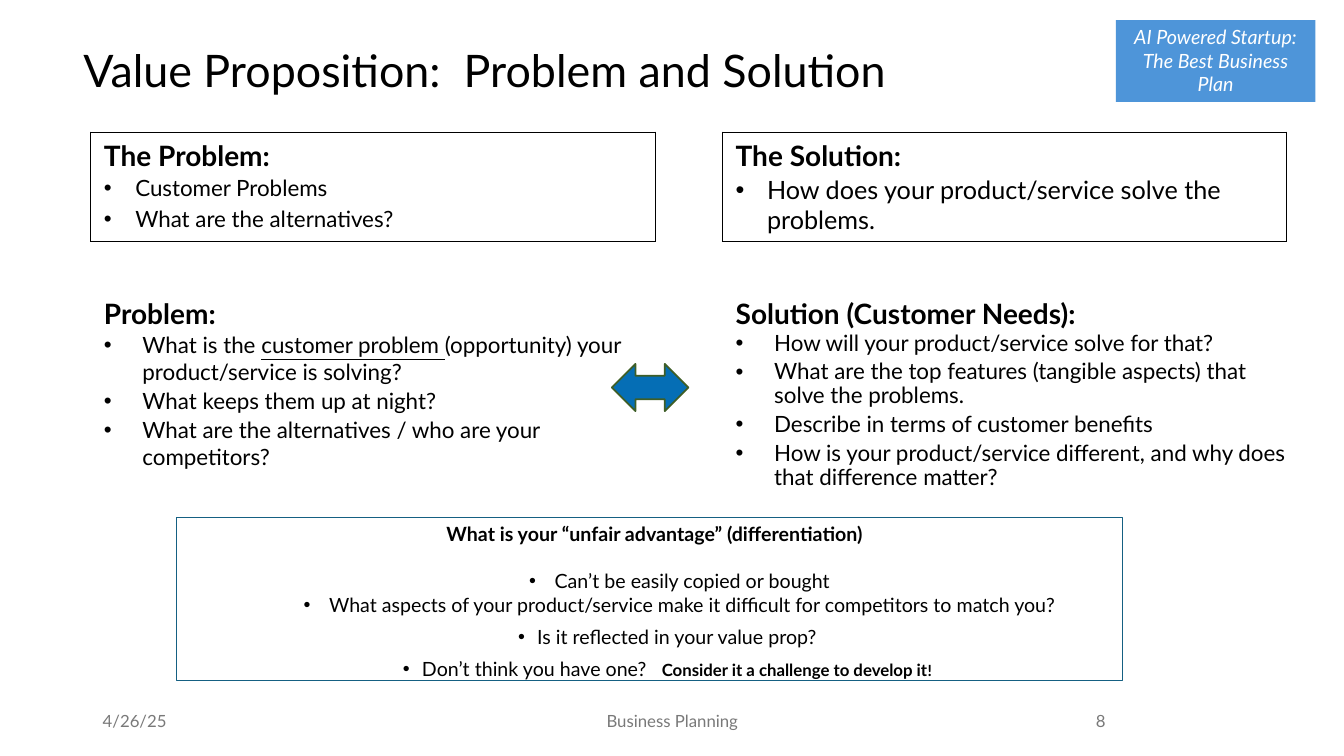
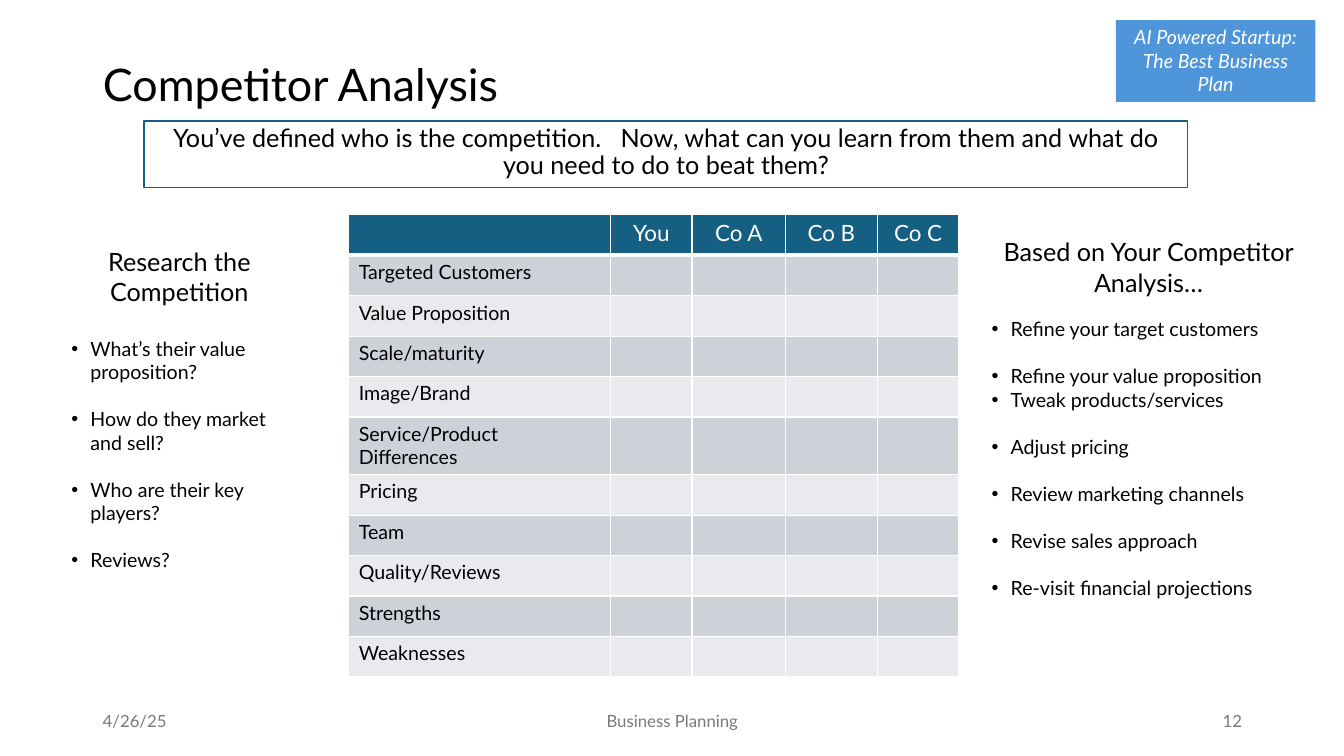
from pptx import Presentation
from pptx.dml.color import RGBColor
from pptx.enum.shapes import MSO_SHAPE
from pptx.enum.text import MSO_ANCHOR, MSO_AUTO_SIZE, PP_ALIGN
from pptx.oxml import parse_xml
from pptx.oxml.ns import nsdecls
from pptx.util import Cm, Pt

FONT = "Lato"
COLORS = {
    "black": "000000", "white": "FFFFFF", "gray": "797979",
    "badge": "4E95D9", "teal": "156082", "arrow": "056EB5",
    "arrow_line": "3E5E27", "band_dark": "CCD2D8", "band_light": "E8EAED",
}
PLAIN_TABLE = "{2D5ABB26-0587-4C30-8999-92F81FD0307C}"
LEFT, CENTER, RIGHT = PP_ALIGN.LEFT, PP_ALIGN.CENTER, PP_ALIGN.RIGHT


def rgb(name):
    return RGBColor.from_string(COLORS[name])


def write(tf, text, size=14, color="black", bold=False, italic=False,
          align=LEFT, before=0, spacing=1.0, indent=None, hang=None):
    p = tf.paragraphs[0]
    if p.runs:
        p = tf.add_paragraph()
    p.alignment = align
    p.space_before = Pt(before)
    p.line_spacing = spacing
    if indent:
        pPr = p._p.get_or_add_pPr()
        pPr.set("marL", str(Cm(indent)))
        pPr.set("indent", str(-Cm(hang or indent)))
        for xml in ('<a:buFont {} typeface="Arial"/>', '<a:buChar {} char="•"/>'):
            pPr.append(parse_xml(xml.format(nsdecls("a"))))
    parts = [(text, {})] if isinstance(text, str) else text
    for part, extra in parts:
        r = p.add_run()
        r.text = part
        r.font.name = FONT
        r.font.size = Pt(extra.get("size", size))
        r.font.bold = extra.get("bold", bold)
        r.font.italic = italic
        r.font.underline = extra.get("underline", False)
        r.font.color.rgb = rgb(color)


class Deck:
    def __init__(self):
        self.prs = Presentation()
        self.prs.slide_width, self.prs.slide_height = Cm(33.87), Cm(19.05)
        self.s = None

    def slide(self, title, box, number, number_align, anchor, spacing):
        self.s = self.prs.slides.add_slide(self.prs.slide_layouts[5])
        sp = self.s.shapes.title
        sp.left, sp.top, sp.width, sp.height = map(Cm, box)
        tf = sp.text_frame
        tf.auto_size = MSO_AUTO_SIZE.NONE
        tf.vertical_anchor = anchor
        write(tf, title, size=32, spacing=spacing)

        tf = self.shape((28.12, 0.51, 5.03, 2.06), fill="badge")
        for line in ("AI Powered Startup:", "The Best Business Plan"):
            write(tf, line, color="white", italic=True, align=CENTER)

        footers = (("4/26/25", 2.34, 7.62, LEFT),
                   ("Business Planning", 11.23, 11.43, CENTER),
                   (number, 23.93, 7.62, number_align))
        for text, left, width, align in footers:
            tf = self.text((left, 17.65, width, 1.02), MSO_ANCHOR.MIDDLE)
            write(tf, text, size=12, color="gray", align=align)

    def text(self, box, anchor=MSO_ANCHOR.TOP):
        tf = self.s.shapes.add_textbox(*map(Cm, box)).text_frame
        tf.word_wrap = True
        tf.vertical_anchor = anchor
        return tf

    def shape(self, box, kind=MSO_SHAPE.RECTANGLE, fill=None, line=None, width=0.75):
        sp = self.s.shapes.add_shape(kind, *map(Cm, box))
        sp.shadow.inherit = False
        if fill:
            sp.fill.solid()
            sp.fill.fore_color.rgb = rgb(fill)
        else:
            sp.fill.background()
        if line:
            sp.line.color.rgb = rgb(line)
            sp.line.width = Pt(width)
        else:
            sp.line.fill.background()
        tf = sp.text_frame
        tf.word_wrap = True
        tf.vertical_anchor = MSO_ANCHOR.TOP
        return tf

    def table(self, left, top, widths, heights):
        frame = self.s.shapes.add_table(
            len(heights), len(widths), Cm(left), Cm(top),
            Cm(sum(widths)), Cm(sum(heights)))
        table = frame.table
        table.first_row = table.horz_banding = False
        table._tbl.tblPr[0].text = PLAIN_TABLE
        for col, width in zip(table.columns, widths):
            col.width = Cm(width)
        for row, height in zip(table.rows, heights):
            row.height = Cm(height)
        return table

    def style_cell(self, cell, fill, border, bottom=1):
        cell.fill.solid()
        cell.fill.fore_color.rgb = rgb(fill)
        tcPr = cell._tc.get_or_add_tcPr()
        for i, side in enumerate("LRTB"):
            width = Pt(bottom if side == "B" else 1)
            tcPr.insert(i, parse_xml(
                f'<a:ln{side} {nsdecls("a")} w="{width}"><a:solidFill>'
                f'<a:srgbClr val="{COLORS[border]}"/></a:solidFill></a:ln{side}>'))

    def side_list(self, box, heading, gap, items):
        tf = self.text(box)
        write(tf, heading, size=18, align=CENTER)
        for i, item in enumerate(items):
            tight = item == "Tweak products/services"
            before = gap if i == 0 else 0 if tight else 16.8
            write(tf, item, before=before, indent=0.48)


def value_proposition(deck):
    deck.slide("Value Proposition:  Problem and Solution", (1.85, 0.89, 29.21, 1.68),
               "8", CENTER, MSO_ANCHOR.BOTTOM, 0.85)
    table = deck.table(2.29, 3.33, (14.22, 1.7, 14.22), (2.74, 1.22, 5.92))
    question = [("What is the ", {}), ("customer problem ", {"underline": True}),
                ("(opportunity) your product/service is solving?", {})]
    cells = (
        (0, 0, "The Problem:", 16, 0.79, 1, 3.4,
         ["Customer Problems", "What are the alternatives?"]),
        (0, 2, "The Solution:", 18, 0.79, 1, 3.4,
         ["How does your product/service solve the problems."]),
        (2, 0, "Problem:", 16, 0.97, 1, 1.6,
         [question, "What keeps them up at night?",
          "What are the alternatives / who are your competitors?"]),
        (2, 2, "Solution (Customer Needs):", 16, 0.97, 0.9, 3.4,
         ["How will your product/service solve for that?",
          "What are the top features (tangible aspects) that solve the problems.",
          "Describe in terms of customer benefits",
          "How is your product/service different, and why does that difference matter?"]),
    )
    for row, col, heading, size, indent, spacing, gap, items in cells:
        cell = table.cell(row, col)
        cell.margin_left = cell.margin_right = Cm(0.33)
        cell.margin_top = cell.margin_bottom = Cm(0.17)
        if row == 0:
            deck.style_cell(cell, "white", "black")
        elif col == 2:
            cell.margin_right = 0
        write(cell.text_frame, heading, size=20, bold=True)
        for i, item in enumerate(items):
            write(cell.text_frame, item, size=size, before=gap if i else 1.1,
                  spacing=spacing, indent=indent)

    deck.shape((15.42, 9.17, 1.93, 1.19), MSO_SHAPE.LEFT_RIGHT_ARROW,
               "arrow", "arrow_line", 1.25)

    tf = deck.shape((4.45, 13.03, 23.85, 4.11), line="teal")
    tf.margin_right = 0
    write(tf, "What is your “unfair advantage” (differentiation)", bold=True, align=CENTER)
    challenge = [("Don’t think you have one?   ", {}),
                 ("Consider it a challenge to develop it", {"size": 12, "bold": True}),
                 ("!", {"size": 11, "bold": True})]
    advantages = (
        ("Can’t be easily copied or bought", 16.8, 1.9, 0.64),
        ("What aspects of your product/service make it difficult "
         "for competitors to match you?", 0, 1.9, 0.64),
        ("Is it reflected in your value prop?", 6, 1.12, 0.48),
        (challenge, 6, 1.12, 0.48),
    )
    for text, before, indent, hang in advantages:
        write(tf, text, align=CENTER, before=before, indent=indent, hang=hang)


def competitor_analysis(deck):
    deck.slide("Competitor Analysis", (2.34, 1.02, 29.21, 2.36),
               "12", RIGHT, MSO_ANCHOR.MIDDLE, 0.9)
    tf = deck.shape((3.63, 3.05, 26.31, 1.68), line="teal")
    write(tf, "You’ve defined who is the competition.   Now, what can you learn "
          "from them and what do you need to do to beat them?",
          size=18, align=CENTER, spacing=0.9)

    deck.side_list((1.55, 6.07, 5.94, 10.34), "Research the Competition", 21.6,
                   ["What’s their value proposition?", "How do they market and sell?",
                    "Who are their key players?", "Reviews?"])

    header = ["", "You", "Co A", "Co B", "Co C"]
    criteria = ["Targeted Customers", "Value Proposition", "Scale/maturity",
                "Image/Brand", "Service/Product Differences", "Pricing", "Team",
                "Quality/Reviews", "Strengths", "Weaknesses"]
    rows = [header] + [[name] + [""] * 4 for name in criteria]
    heights = [1.45 if "Differences" in row[0] else 1.02 for row in rows]
    table = deck.table(8.79, 5.41, (6.6, 2.05, 2.36, 2.31, 2.06), heights)
    for i, row in enumerate(rows):
        fill = "teal" if i == 0 else "band_dark" if i % 2 else "band_light"
        for j, text in enumerate(row):
            cell = table.cell(i, j)
            deck.style_cell(cell, fill, "white", bottom=1 if i else 3)
            if i == 0:
                write(cell.text_frame, text, size=16, color="white", align=CENTER)
            else:
                write(cell.text_frame, text)

    deck.side_list((24.74, 5.84, 8.41, 10.69), "Based on Your Competitor Analysis…", 14.4,
                   ["Refine your target customers", "Refine your value proposition",
                    "Tweak products/services", "Adjust pricing",
                    "Review marketing channels", "Revise sales approach",
                    "Re-visit financial projections"])


def main():
    deck = Deck()
    value_proposition(deck)
    competitor_analysis(deck)
    deck.prs.save("out.pptx")


if __name__ == "__main__":
    main()
